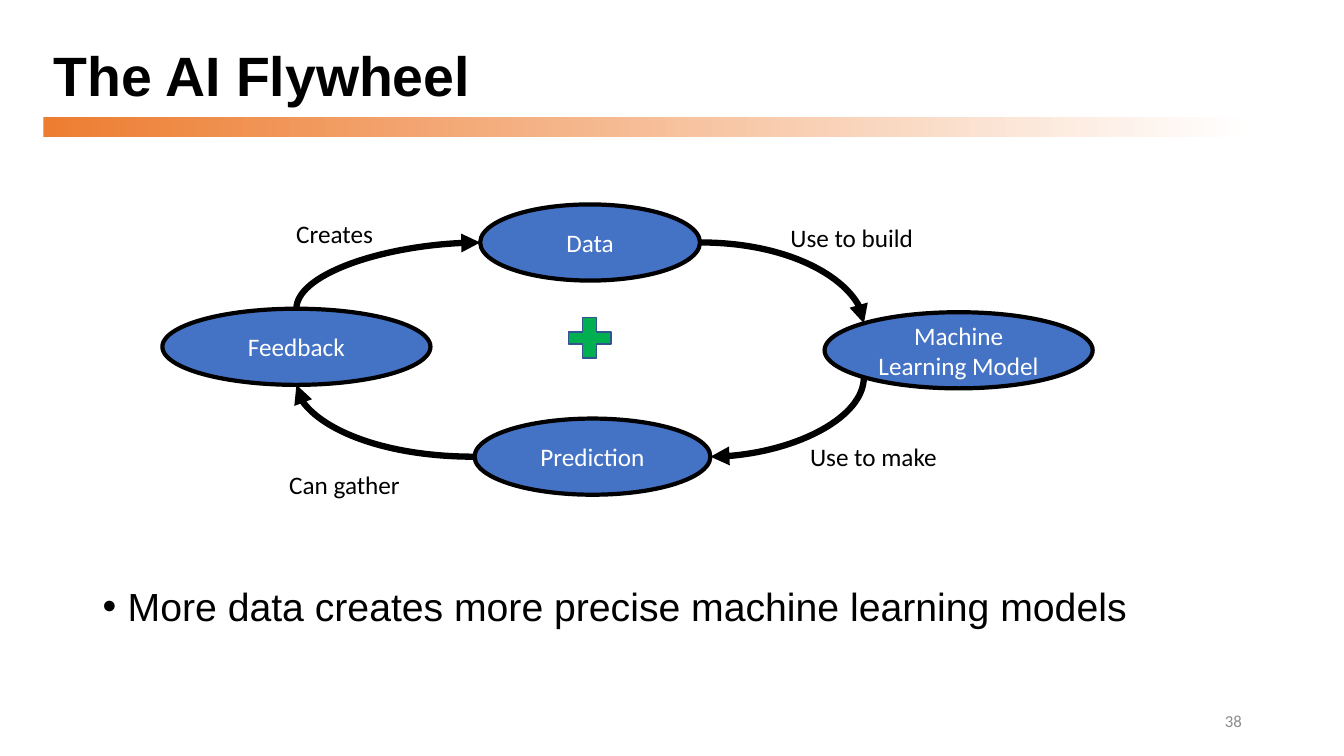
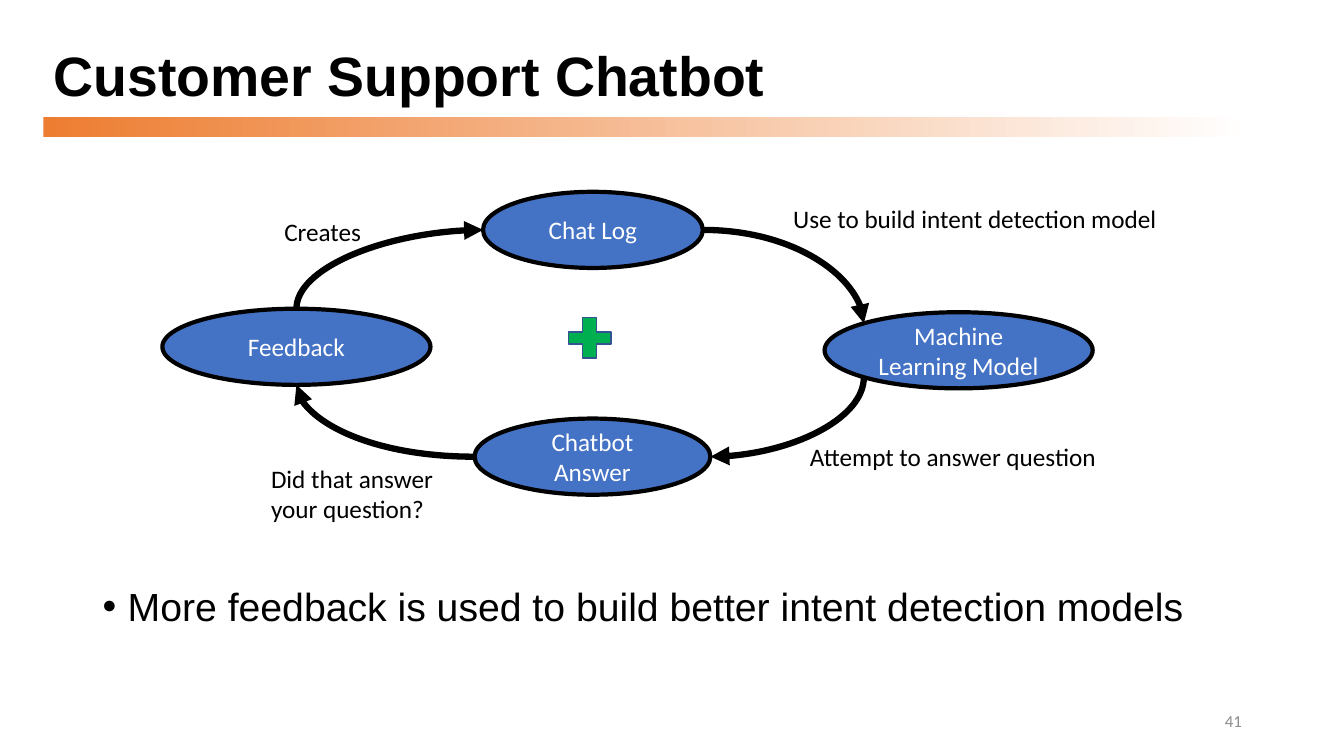
from dataclasses import dataclass
from math import cos, radians, sin

from lxml import etree
from pptx import Presentation
from pptx.dml.color import RGBColor
from pptx.enum.shapes import MSO_CONNECTOR, MSO_SHAPE
from pptx.enum.text import MSO_ANCHOR, MSO_AUTO_SIZE, PP_ALIGN
from pptx.oxml.ns import qn
from pptx.util import Pt

RECT, OVAL, CROSS = MSO_SHAPE.RECTANGLE, MSO_SHAPE.OVAL, MSO_SHAPE.CROSS
CURVE = MSO_CONNECTOR.CURVE
LEFT, CENTER, RIGHT = PP_ALIGN.LEFT, PP_ALIGN.CENTER, PP_ALIGN.RIGHT
TOP, MIDDLE = MSO_ANCHOR.TOP, MSO_ANCHOR.MIDDLE
NO_FIT, GROW = MSO_AUTO_SIZE.NONE, MSO_AUTO_SIZE.SHAPE_TO_FIT_TEXT


@dataclass(frozen=True)
class Theme:
    """Colours, fonts and type sizes of the deck."""
    black: str = "000000"
    white: str = "FFFFFF"
    accent: str = "ED7D31"
    node: str = "4472C4"
    plus: str = "00B050"
    plus_line: str = "325491"
    muted: str = "8C8C8C"
    head: str = "Arial"
    text: str = "Calibri"
    title_size: float = 39.6
    body_size: float = 28
    label_size: float = 18
    number_size: float = 12


T = Theme()
TITLE_BOX = (31, 28.8, 862.5, 54.7)
BAND_BOX = (31, 83.5, 862.5, 14.4)
WHEEL_BOX = (116, 137, 664.5, 216.5)
BODY_BOX = (66.2, 416.2, 828, 70.5)
NUMBER_BOX = (678.2, 500.4, 216, 28.8)
NODE_H = 54.4
LABEL_H = 28.8
LINE_H = 22

ARROWS = [("data", 6, "model", 1), ("model", 3, "output", 6),
          ("output", 2, "feedback", 4), ("feedback", 0, "data", 2)]

SLIDES = [
    dict(title="The AI Flywheel", number="38",
         body="More data creates more precise machine learning models",
         data=("Data", 227, 9), output="Prediction",
         labels=[("Use to build", 441.5, 18, 103),
                 ("Use to make", 455.5, 175, 106),
                 ("Can gather", 83.5, 195, 94.5),
                 ("Creates", 88.5, 15.5, 70)]),
    dict(title="Customer Support Chatbot", number="41",
         body="More feedback is used to build better intent detection models",
         data=("Chat Log", 229, 0), output="Chatbot\nAnswer",
         labels=[("Use to build intent detection model", 443.5, 5, 277),
                 ("Attempt to answer question", 455.5, 175, 222),
                 ("Did that answer\nyour question?", 70.5, 190.5, 132),
                 ("Creates", 80, 14, 70)]),
]


def rgb(value):
    """Return a colour from its hex value."""
    return RGBColor.from_string(value)


def points(box):
    """Convert a box of numbers to lengths in points."""
    return [Pt(v) for v in box]


def write(sp, text, font, size, color, align=LEFT, anchor=TOP, bold=False):
    """Fill a shape with one paragraph per line of text."""
    tf = sp.text_frame
    tf.word_wrap = True
    tf.vertical_anchor = anchor
    for i, line in enumerate(text.split("\n")):
        p = tf.add_paragraph() if i else tf.paragraphs[0]
        p.alignment = align
        r = p.add_run()
        r.text = line
        r.font.name, r.font.size, r.font.bold = font, Pt(size), bold
        r.font.color.rgb = rgb(color)
    return tf


def add_shape(s, kind, box, fill, line, width):
    """Add an outlined preset shape."""
    sp = s.shapes.add_shape(kind, *points(box))
    sp.shadow.inherit = False
    sp.fill.solid()
    sp.fill.fore_color.rgb = rgb(fill)
    sp.line.color.rgb = rgb(line)
    sp.line.width = Pt(width)
    return sp


def add_band(s, box):
    """Add the fading band below the title."""
    sp = s.shapes.add_shape(RECT, *points(box))
    sp.shadow.inherit = False
    sp.line.fill.background()
    sp.fill.gradient()
    sp.fill.gradient_angle = 0
    for stop, color in zip(sp.fill.gradient_stops, (T.accent, T.white)):
        stop.color.rgb = rgb(color)


def add_title(s, box, text):
    """Place and format the title placeholder."""
    sp = s.shapes.title
    sp.left, sp.top, sp.width, sp.height = points(box)
    tf = write(sp, text, T.head, T.title_size, T.black, anchor=MIDDLE, bold=True)
    tf.auto_size = NO_FIT
    tf.paragraphs[0].line_spacing = 0.9


def add_body(s, box, text):
    """Add the bulleted statement."""
    sp = s.shapes.add_textbox(*points(box))
    p = write(sp, text, T.head, T.body_size, T.black).paragraphs[0]
    p.line_spacing, p.space_before = 0.9, Pt(10)
    pPr = p._p.get_or_add_pPr()
    pPr.set("marL", str(Pt(18)))
    pPr.set("indent", str(-Pt(18)))
    etree.SubElement(pPr, qn("a:buFont"), typeface=T.head)
    etree.SubElement(pPr, qn("a:buChar"), char="\u2022")


def add_number(s, box, text):
    """Add the slide number."""
    sp = s.shapes.add_textbox(*points(box))
    write(sp, text, T.text, T.number_size, T.muted, RIGHT, MIDDLE)


def add_label(s, box, text):
    """Add the caption of an arrow."""
    sp = s.shapes.add_textbox(*points(box))
    tf = write(sp, text, T.text, T.label_size, T.black)
    tf.word_wrap, tf.auto_size = False, GROW


def site(sp, idx):
    """Return a connection site of an ellipse, counted anticlockwise from the top."""
    a = radians(45 * idx)
    return (sp.left + sp.width / 2 * (1 - sin(a)),
            sp.top + sp.height / 2 * (1 - cos(a)))


def add_arrow(s, start, start_idx, end, end_idx, turns):
    """Join two ellipses with a quarter curve rotated by quarter turns."""
    (x1, y1), (x2, y2) = site(start, start_idx), site(end, end_idx)
    w, h = abs(x2 - x1), abs(y2 - y1)
    if turns % 2:
        w, h = h, w
    x, y = (x1 + x2 - w) / 2, (y1 + y2 - h) / 2
    c = s.shapes.add_connector(CURVE, *(int(v) for v in (x, y, x + w, y + h)))
    c.line.color.rgb = rgb(T.black)
    c.line.width = Pt(4.5)
    spPr = c._element.spPr
    spPr.find(qn("a:xfrm")).set("rot", str(turns * 90 * 60000))
    spPr.find(qn("a:prstGeom")).set("prst", "curvedConnector2")
    etree.SubElement(spPr.find(qn("a:ln")), qn("a:tailEnd"), type="triangle")
    etree.SubElement(spPr, qn("a:effectLst"))
    links = next(c._element.iter(qn("p:cNvCxnSpPr")))
    for tag, sp, idx in (("a:stCxn", start, start_idx), ("a:endCxn", end, end_idx)):
        etree.SubElement(links, qn(tag), id=str(sp.shape_id), idx=str(idx))


def add_wheel(s, box, data, output, labels):
    """Add the flywheel of four ellipses, arrows and captions."""
    left, top = box[:2]
    name, dx, dy = data
    places = {"data": (name, dx, dy, 157),
              "output": (output, 223, 162, 168.5),
              "model": ("Machine Learning Model", 473, 86, 191.5),
              "feedback": ("Feedback", 0, 83.5, 191.5)}
    nodes = {}
    for key, (text, x, y, w) in places.items():
        sp = add_shape(s, OVAL, (left + x, top + y, w, NODE_H), T.node, T.black, 3)
        write(sp, text, T.text, T.label_size, T.white, CENTER, MIDDLE)
        nodes[key] = sp
    for turns, (start, i, end, j) in enumerate(ARROWS):
        add_arrow(s, nodes[start], i, nodes[end], j, turns)
    for text, x, y, w in labels:
        h = LABEL_H + LINE_H * text.count("\n")
        add_label(s, (left + x, top + y, w, h), text)
    plus = add_shape(s, CROSS, (left + 290, top + 90, 30.3, 28.8),
                     T.plus, T.plus_line, 1)
    plus.adjustments[0] = 0.35


def add_slide(prs, title, number, body, data, output, labels):
    """Build one flywheel slide."""
    s = prs.slides.add_slide(prs.slide_layouts[5])
    add_band(s, BAND_BOX)
    add_title(s, TITLE_BOX, title)
    add_body(s, BODY_BOX, body)
    add_number(s, NUMBER_BOX, number)
    add_wheel(s, WHEEL_BOX, data, output, labels)


def main():
    """Build and save the deck."""
    prs = Presentation()
    prs.slide_width, prs.slide_height = Pt(960), Pt(540)
    for content in SLIDES:
        add_slide(prs, **content)
    prs.save("out.pptx")


main()
